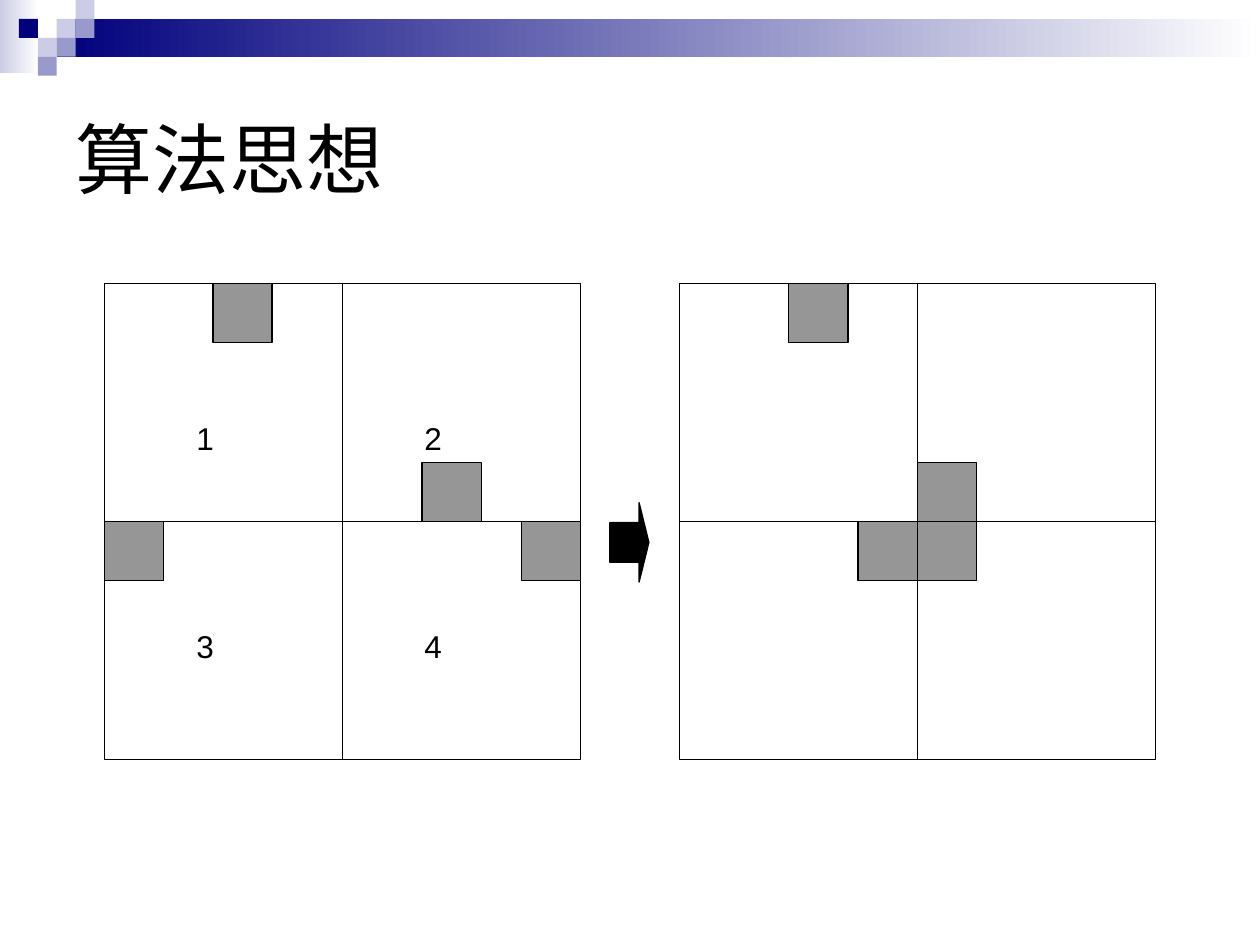
from dataclasses import dataclass

from pptx import Presentation
from pptx.dml.color import RGBColor as RGB
from pptx.enum.shapes import MSO_SHAPE as Geo
from pptx.enum.text import MSO_ANCHOR as Anchor
from pptx.util import Inches, Pt


@dataclass(frozen=True)
class Theme:
    font: str = "Arial"
    head: int = 44
    body: int = 18
    rule: float = 0.75
    ink: str = "000000"
    paper: str = "FFFFFF"
    tile: str = "969696"
    navy: str = "00007D"
    mid: str = "9999CC"
    pale: str = "CCCCE6"


class Deck:
    """Holds the theme, the slide and the shape tree that is being filled."""

    def __init__(self, theme):
        self.theme = theme
        self.prs = Presentation()
        self.prs.slide_width, self.prs.slide_height = Inches(10), Inches(7.5)
        self.slide = self.prs.slides.add_slide(self.prs.slide_layouts[6])
        self.tree = self.slide.shapes

    def group(self):
        """Send the next shapes into a new group."""
        self.tree = self.slide.shapes.add_group_shape().shapes

    def ungroup(self):
        self.tree = self.slide.shapes

    def shape(self, box, fill, line=None, geo=Geo.RECTANGLE):
        item = self.tree.add_shape(geo, *map(Inches, box))
        item.shadow.inherit = False
        item.fill.solid()
        item.fill.fore_color.rgb = RGB.from_string(fill)
        if line:
            item.line.color.rgb = RGB.from_string(line)
            item.line.width = Pt(self.theme.rule)
        else:
            item.line.fill.background()
        return item

    def fade(self, box, start):
        """Add a bar that runs from the start colour to the paper colour."""
        fill = self.shape(box, start).fill
        fill.gradient()
        fill.gradient_angle = 0
        for stop, tone in zip(fill.gradient_stops, (start, self.theme.paper)):
            stop.color.rgb = RGB.from_string(tone)

    def text(self, box, words, size, anchor=Anchor.TOP):
        frame = self.tree.add_textbox(*map(Inches, box)).text_frame
        frame.word_wrap = True
        frame.vertical_anchor = anchor
        run = frame.paragraphs[0].add_run()
        run.text = words
        run.font.name = self.theme.font
        run.font.size = Pt(size)
        run.font.color.rgb = RGB.from_string(self.theme.ink)

    def board(self, left, top, side, tiles, tile):
        """Add a two by two board with tiles placed relative to its corner."""
        look = self.theme
        for row in range(2):
            for col in range(2):
                box = (left + col * side, top + row * side, side, side)
                self.shape(box, look.paper, look.ink)
        for x, y in tiles:
            self.shape((left + x, top + y, tile, tile), look.tile, look.ink)


def banner(deck):
    look, cell = deck.theme, 0.15
    deck.group()
    deck.fade((0, 0, 0.31, 0.58), look.pale)
    deck.fade((0.45, cell, 9.55, 0.3), look.navy)
    dots = [
        (3, 1, look.pale), (4, 0, look.pale), (4, 1, look.mid),
        (2, 2, look.pale), (1, 1, look.navy), (3, 2, look.mid),
        (2, 3, look.mid),
    ]
    for col, row, tone in dots:
        deck.shape((col * cell, row * cell, cell, cell), tone)


def main():
    deck = Deck(Theme())
    look = deck.theme
    top, side, tile = 2.25, 1.89, 0.47
    near, far = side - tile, 2 * side - tile

    banner(deck)
    deck.ungroup()
    deck.text((0.5, 0.5, 9, 1.5), "算法思想", look.head, Anchor.MIDDLE)

    deck.group()
    tiles = [(0.86, 0), (0, side), (far, side), (2.52, near)]
    deck.board(0.83, top, side, tiles, tile)
    for i in range(4):
        row, col = divmod(i, 2)
        box = (1.46 + 1.81 * col, 3.28 + 1.65 * row, 0.55, 0.4)
        deck.text(box, str(i + 1), look.body)

    deck.ungroup()
    arrow = deck.shape((4.84, 3.99, 0.31, 0.63), look.ink, look.ink,
                       Geo.RIGHT_ARROW)
    arrow.adjustments[0], arrow.adjustments[1] = 0.5, 0.25

    deck.group()
    tiles = [(0.87, 0), (near, side), (side, near), (side, side)]
    deck.board(5.39, top, side, tiles, tile)

    deck.prs.save("out.pptx")


if __name__ == "__main__":
    main()
